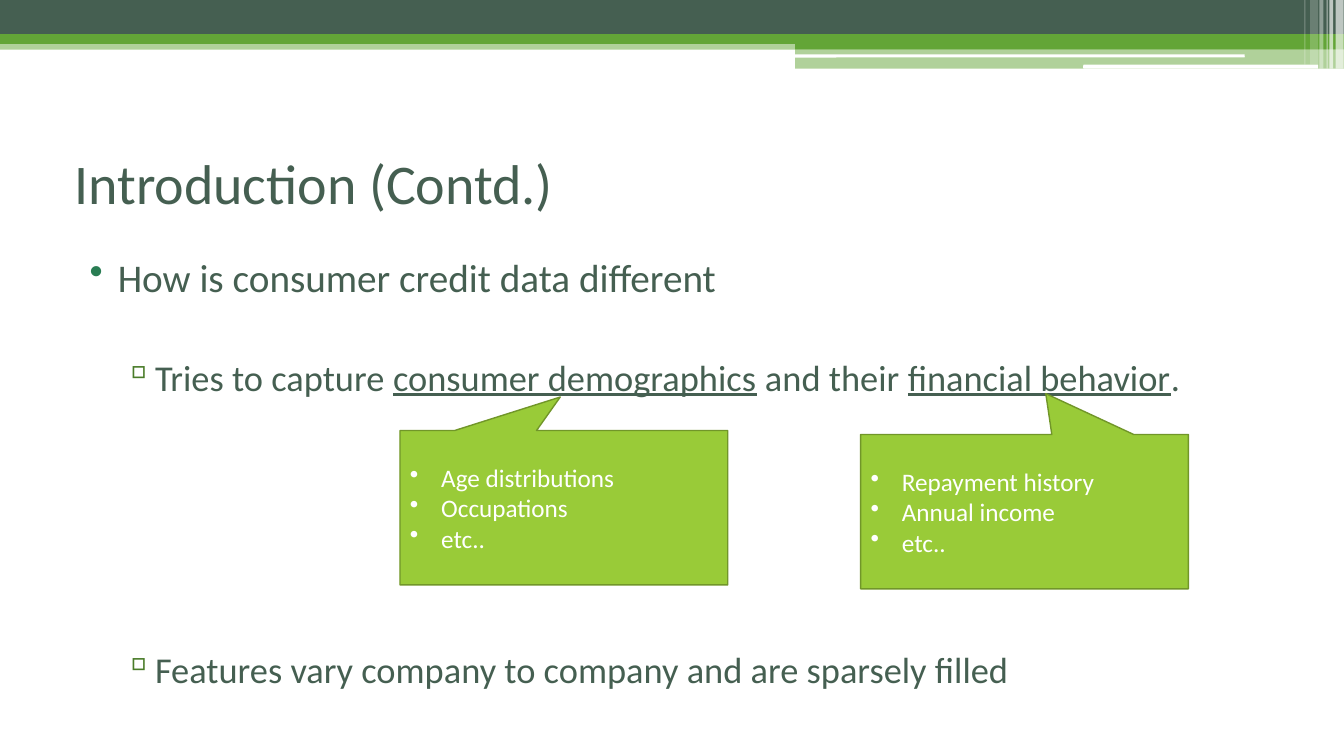
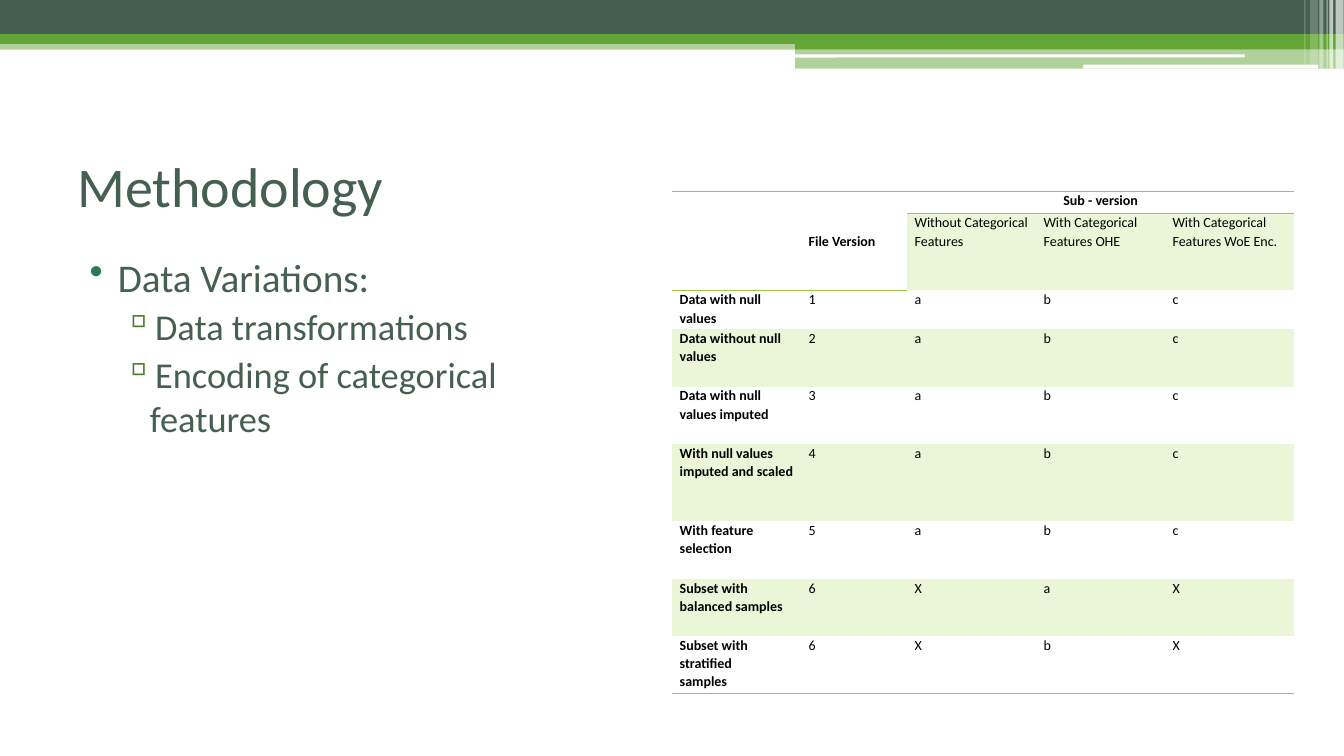
from dataclasses import dataclass
from lxml.etree import SubElement
from pptx import Presentation
from pptx.dml.color import RGBColor
from pptx.enum.shapes import MSO_SHAPE
from pptx.enum.text import MSO_ANCHOR, PP_ALIGN
from pptx.oxml.ns import qn
from pptx.util import Cm, Pt


@dataclass(frozen=True)
class Theme:
    """Colours, font and type sizes of the deck."""
    dark: str = "455F51"
    green: str = "63A537"
    lime: str = "99CB38"
    edge: str = "719629"
    tint: str = "EBF5D7"
    white: str = "FFFFFF"
    black: str = "000000"
    dot: str = "297D53"
    box: str = "4A7C29"
    face: str = "Calibri"
    title: int = 40
    note: int = 18
    cell: int = 10


theme = Theme()
# Per outline level: mark, mark colour, left indent, hanging indent, type size
levels = [("•", theme.dot, 1.02, 0.71, 28), ("▫", theme.box, 1.83, 0.69, 26)]


def style(para, size, hue, bold=False):
    """Set the font of a whole paragraph."""
    font = para.font
    font.name, font.size, font.bold = theme.face, Pt(size), bold
    font.color.rgb = RGBColor.from_string(hue)


def bullet(para, mark, hue, left, hang):
    """Give an unstyled paragraph a coloured, hanging bullet."""
    props = para._p.get_or_add_pPr()
    props.set("marL", str(Cm(left)))
    props.set("indent", str(-Cm(hang)))
    SubElement(SubElement(props, qn("a:buClr")), qn("a:srgbClr"), val=hue)
    SubElement(props, qn("a:buChar"), char=mark)


deck = Presentation()
deck.slide_width, deck.slide_height = Cm(33.87), Cm(19.05)
blank = deck.slide_layouts[6]

# Title, title box, body size, body lines (level, space before, text).
# Text between underscores is underlined.
pages = [
    ("Introduction (Contd.)", (1.63, 3.05, 30.56, 3.1), (30.48, 12.01), [
        (0, 3, "How is consumer credit data different"),
        (1, 39, "Tries to capture _consumer demographics_ and their "
                "_financial behavior_."),
        (1, 177.5, "Features vary company to company and are sparsely filled"),
    ]),
    ("Methodology", (1.7, 3.18, 30.48, 2.97), (14.05, 10.46), [
        (0, 3, "Data Variations:"),
        (1, 3, "Data transformations"),
        (1, 3, "Encoding of categorical features"),
    ]),
]
for title, place, size, lines in pages:
    slide = deck.slides.add_slide(blank)
    head = slide.shapes.add_textbox(*map(Cm, place)).text_frame
    head.word_wrap, head.vertical_anchor = True, MSO_ANCHOR.MIDDLE
    head.text = title
    style(head.paragraphs[0], theme.title, theme.dark)

    body = slide.shapes.add_textbox(Cm(1.7), Cm(6.25), *map(Cm, size)).text_frame
    body.word_wrap = True
    for row, (level, gap, text) in enumerate(lines):
        para = body.add_paragraph() if row else body.paragraphs[0]
        *marks, points = levels[level]
        bullet(para, *marks)
        para.level, para.space_before = level, Pt(gap)
        style(para, points, theme.dark)
        for part, words in enumerate(text.split("_")):
            run = para.add_run()
            run.text = words
            if part % 2:
                run.font.underline = True

intro, method = deck.slides

# Bands at the top, kept on the layout: shape, box, colour, opacity
rect, pill = MSO_SHAPE.RECTANGLE, MSO_SHAPE.ROUNDED_RECTANGLE
bands = [
    (rect, (0, 1.02, 33.87, 0.23), theme.green, 50),
    (rect, (0, 0, 33.87, 0.86), theme.dark, 100),
    (rect, (0, 0.86, 33.87, 0.25), theme.green, 100),
    (rect, (20.04, 0.99, 13.83, 0.25), theme.green, 100),
    (rect, (20.04, 1.23, 13.83, 0.5), theme.green, 50),
    (pill, (20.02, 1.37, 11.35, 0.08), theme.white, 100),
    (pill, (27.3, 1.63, 5.92, 0.1), theme.white, 100),
]
stripes = [(33.66, 0.2, 1.73, 65), (33.5, 0.1, 1.73, 65), (33.43, 0.03, 1.73, 60),
           (33.25, 0.1, 1.73, 40), (33.02, 0.2, 1.63, 20), (32.87, 0.03, 1.63, 30)]
bands += [(rect, (left, 0, wide, high), theme.white, clear)
          for left, wide, high, clear in stripes]
for kind, place, hue, clear in bands:
    band = intro.shapes.add_shape(kind, *map(Cm, place))
    band.shadow.inherit = False
    band.line.fill.background()
    band.fill.solid()
    band.fill.fore_color.rgb = RGBColor.from_string(hue)
    if clear < 100:
        tone = next(band.element.iter(qn("a:srgbClr")))
        SubElement(tone, qn("a:alpha"), val=str(clear * 1000))
    blank.shapes.element.append(band.element)

# Callouts: left, top, tip, lines
notes = [
    (10.08, 10.85, (-0.011, -0.717), ["Age distributions", "Occupations", "etc.."]),
    (21.69, 10.95, (0.065, -0.765), ["Repayment history", "Annual income", "etc.."]),
]
for left, top, tip, lines in notes:
    note = intro.shapes.add_shape(MSO_SHAPE.RECTANGULAR_CALLOUT,
                                  Cm(left), Cm(top), Cm(8.26), Cm(3.89))
    note.adjustments[0], note.adjustments[1] = tip
    note.shadow.inherit = False
    note.fill.solid()
    note.fill.fore_color.rgb = RGBColor.from_string(theme.lime)
    note.line.color.rgb = RGBColor.from_string(theme.edge)
    note.line.width = Pt(1)
    frame = note.text_frame
    frame.word_wrap, frame.vertical_anchor = True, MSO_ANCHOR.MIDDLE
    frame.text = "\n".join(lines)
    for para in frame.paragraphs:
        bullet(para, "•", theme.white, 0.79, 0.79)
        para.alignment = PP_ALIGN.LEFT
        style(para, theme.note, theme.white)

# Table of file versions
cells = [
    ["", "File Version", "Sub - version", "", ""],
    ["", "", "Without Categorical Features", "With Categorical Features OHE",
     "With Categorical Features WoE Enc."],
    ["Data with null values", *"1abc"],
    ["Data without null values", *"2abc"],
    ["Data with null values imputed", *"3abc"],
    ["With null values imputed and scaled", *"4abc"],
    ["With feature selection", *"5abc"],
    ["Subset with balanced samples", *"6XaX"],
    ["Subset with stratified\nsamples", *"6XbX"],
]
wides = [3.25, 2.67, 3.25, 3.25, 3.25]
highs = [0.56, 1.94, 0.97, 1.45, 1.45, 1.94, 1.45, 1.45, 1.45]
frame = method.shapes.add_table(len(highs), len(wides), Cm(16.94), Cm(4.82),
                                Cm(sum(wides)), Cm(sum(highs)))
plain = "{2D5ABB26-0587-4C30-8999-92F81FD0307C}"
next(frame.element.iter(qn("a:tableStyleId"))).text = plain
table = frame.table
table.first_row = table.horz_banding = False
for col, wide in zip(table.columns, wides):
    col.width = Cm(wide)
for row, high in zip(table.rows, highs):
    row.height = Cm(high)
for first, last in [((0, 0), (1, 0)), ((0, 1), (1, 1)), ((0, 2), (0, 4))]:
    table.cell(*first).merge(table.cell(*last))

for r, words in enumerate(cells):
    for c, text in enumerate(words):
        cell = table.cell(r, c)
        cell.margin_left = cell.margin_right = Cm(0.19)
        cell.margin_top = cell.margin_bottom = 0
        sides = ["a:lnT"] if r == 0 else []
        if r in (0, len(cells) - 1) or (r == 1 and c < 2):
            sides.append("a:lnB")
        for side in sides:
            line = SubElement(cell._tc.get_or_add_tcPr(), qn(side), w=str(Pt(1)))
            SubElement(SubElement(line, qn("a:solidFill")),
                       qn("a:srgbClr"), val=theme.lime)
        if r % 2 and (r > 1 or c > 1):
            cell.fill.solid()
            cell.fill.fore_color.rgb = RGBColor.from_string(theme.tint)
        else:
            cell.fill.background()
        if text:
            cell.text = text
        for para in cell.text_frame.paragraphs:
            para.line_spacing = 1.07
            style(para, theme.cell, theme.black, bold=r == 0 or c == 0)
table.cell(0, 1).vertical_anchor = MSO_ANCHOR.MIDDLE
table.cell(0, 2).text_frame.paragraphs[0].alignment = PP_ALIGN.CENTER

deck.save("out.pptx")
